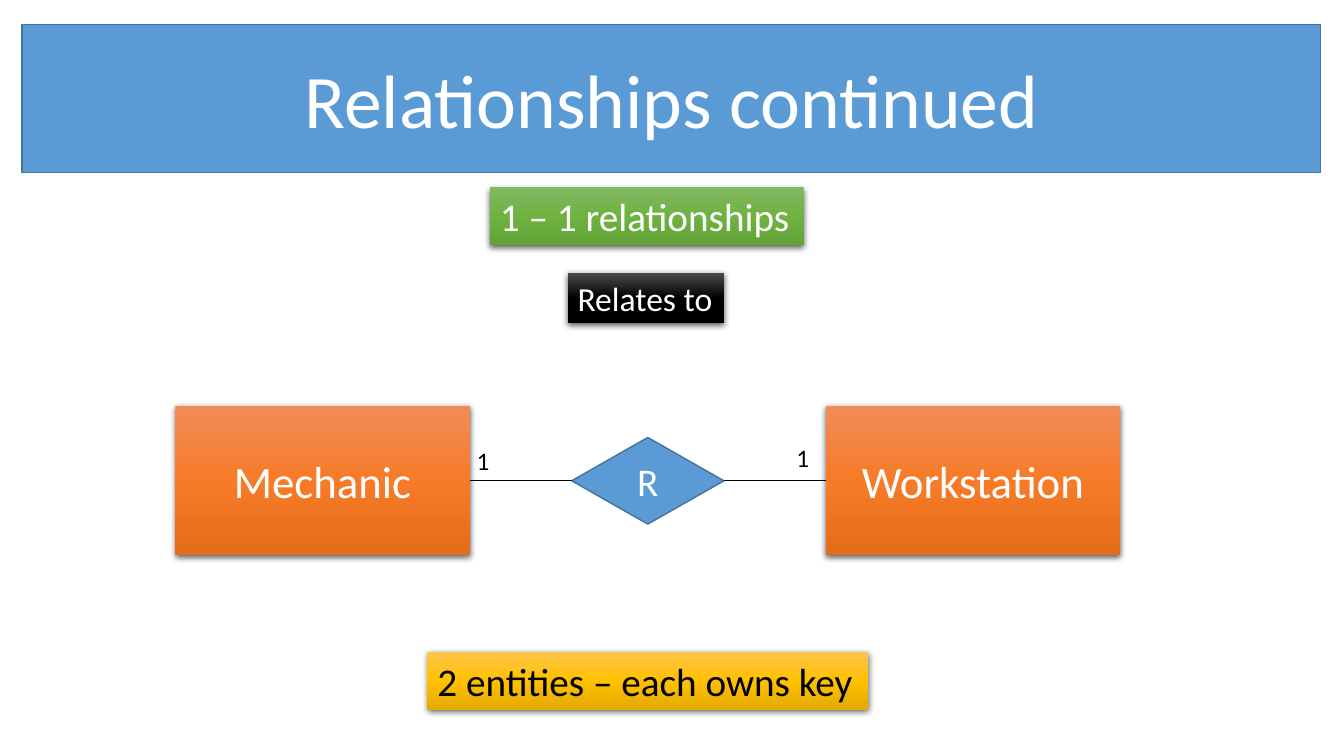
from copy import deepcopy
from dataclasses import dataclass

from lxml.etree import SubElement
from pptx import Presentation
from pptx.dml.color import RGBColor
from pptx.enum.shapes import MSO_CONNECTOR, MSO_SHAPE
from pptx.enum.text import MSO_ANCHOR as Anchor, MSO_AUTO_SIZE as AutoSize, PP_ALIGN as Align
from pptx.oxml.ns import qn
from pptx.util import Inches, Pt

COLORS = {"blue": "5B9BD5", "blue_edge": "43739E", "white": "FFFFFF", "black": "000000"}
GRADIENTS = {
    "orange": ("F18C57", "F67B28", "E56C19"),
    "gold": ("FFC64B", "FFC000", "E3AB00"),
    "green": ("81B861", "6FB242", "62A336"),
    "black": ("4B4B4B", "000000", "000000"),
}
FONT = "Calibri"
AXIS = 4.77  # height of the line through the entities and the diamond


@dataclass
class Box:
    text: str
    left: float
    top: float
    width: float
    height: float
    size: int
    gradient: str = ""
    color: str = "white"

    @property
    def bounds(self):
        return [Inches(v) for v in (self.left, self.top, self.width, self.height)]


def rgb(name: str) -> RGBColor:
    return RGBColor.from_string(COLORS[name])


def write(shape, text: str, size: int, color: str, centred: bool) -> None:
    """Centred text wraps in its shape; other text sizes its box."""
    frame = shape.text_frame
    frame.text = text
    frame.word_wrap = centred
    frame.auto_size = AutoSize.NONE if centred else AutoSize.SHAPE_TO_FIT_TEXT
    frame.vertical_anchor = Anchor.MIDDLE if centred else Anchor.TOP
    paragraph = frame.paragraphs[0]
    paragraph.alignment = Align.CENTER if centred else Align.LEFT
    font = paragraph.runs[0].font
    font.name, font.size, font.color.rgb = FONT, Pt(size), rgb(color)


def paint_blue(shape) -> None:
    shape.fill.solid()
    shape.fill.fore_color.rgb = rgb("blue")
    shape.line.color.rgb = rgb("blue_edge")
    shape.line.width = Pt(1)


def paint_gradient(shape, gradient: str) -> None:
    shape.fill.gradient()
    shape.fill.gradient_angle = 270
    stop_list = shape._element.spPr.find(qn("a:gradFill")).find(qn("a:gsLst"))
    stop_list.insert(1, deepcopy(stop_list[0]))
    for index, (stop, color) in enumerate(zip(shape.fill.gradient_stops, GRADIENTS[gradient])):
        stop.position = index / 2
        stop.color.rgb = RGBColor.from_string(color)
    shape.line.fill.background()


def add_shadow(shape) -> None:
    effects = shape._element.spPr.find(qn("a:effectLst"))
    shadow = SubElement(effects, qn("a:outerShdw"), blurRad=str(Pt(4.5)), dist=str(Pt(1.5)),
                        dir="5400000", algn="ctr", rotWithShape="0")
    color = SubElement(shadow, qn("a:srgbClr"), val=COLORS["black"])
    SubElement(color, qn("a:alpha"), val="63000")


def add_box(slide, box: Box, centred: bool):
    shape = slide.shapes.add_shape(MSO_SHAPE.RECTANGLE, *box.bounds)
    shape.shadow.inherit = False
    paint_gradient(shape, box.gradient)
    add_shadow(shape)
    write(shape, box.text, box.size, box.color, centred)
    return shape


def connect(slide, start, end) -> None:
    """Join the right side of start to the left side of end."""
    line = slide.shapes.add_connector(MSO_CONNECTOR.STRAIGHT, 0, 0, 0, 0)
    line.begin_connect(start, 3)
    line.end_connect(end, 1)
    line.line.color.rgb = rgb("black")
    line.line.width = Pt(0.5)
    SubElement(line._element.spPr, qn("a:effectLst"))


presentation = Presentation()
presentation.slide_width, presentation.slide_height = Inches(13.33), Inches(7.5)
slide = presentation.slides.add_slide(presentation.slide_layouts[5])

# Title band
banner = Box("Relationships continued", 0.22, 0.24, 12.88, 1.47, 54)
title = slide.shapes.title
title.left, title.top, title.width, title.height = banner.bounds
paint_blue(title)
write(title, banner.text, banner.size, banner.color, centred=True)

# Captions
for caption in (
    Box("1 – 1 relationships", 4.86, 1.86, 3.11, 0.57, 28, "green"),
    Box("Relates to", 5.63, 2.71, 1.55, 0.5, 24, "black"),
    Box("2 entities – each owns key", 4.24, 6.47, 4.37, 0.57, 28, "gold", "black"),
):
    add_box(slide, caption, centred=False)

# Entities
ENTITY_WIDTH, ENTITY_HEIGHT = 2.92, 1.48
mechanic, workstation = (
    add_box(slide, Box(name, left, AXIS - ENTITY_HEIGHT / 2, ENTITY_WIDTH, ENTITY_HEIGHT,
                       32, "orange"), centred=True)
    for name, left in (("Mechanic", 1.74), ("Workstation", 8.19))
)

# Relationship diamond and its lines
relation = Box("R", 5.67, AXIS - 0.43, 1.51, 0.86, 28)
diamond = slide.shapes.add_shape(MSO_SHAPE.FLOWCHART_DECISION, *relation.bounds)
diamond.shadow.inherit = False
paint_blue(diamond)
write(diamond, relation.text, relation.size, relation.color, centred=True)
connect(slide, mechanic, diamond)
connect(slide, diamond, workstation)

# Cardinalities
for cardinality in (
    Box("1", 4.63, 4.37, 0.33, 0.4, 18, color="black"),
    Box("1", 7.8, 4.34, 0.33, 0.4, 18, color="black"),
):
    label = slide.shapes.add_textbox(*cardinality.bounds)
    write(label, cardinality.text, cardinality.size, cardinality.color, centred=False)

presentation.save("out.pptx")
